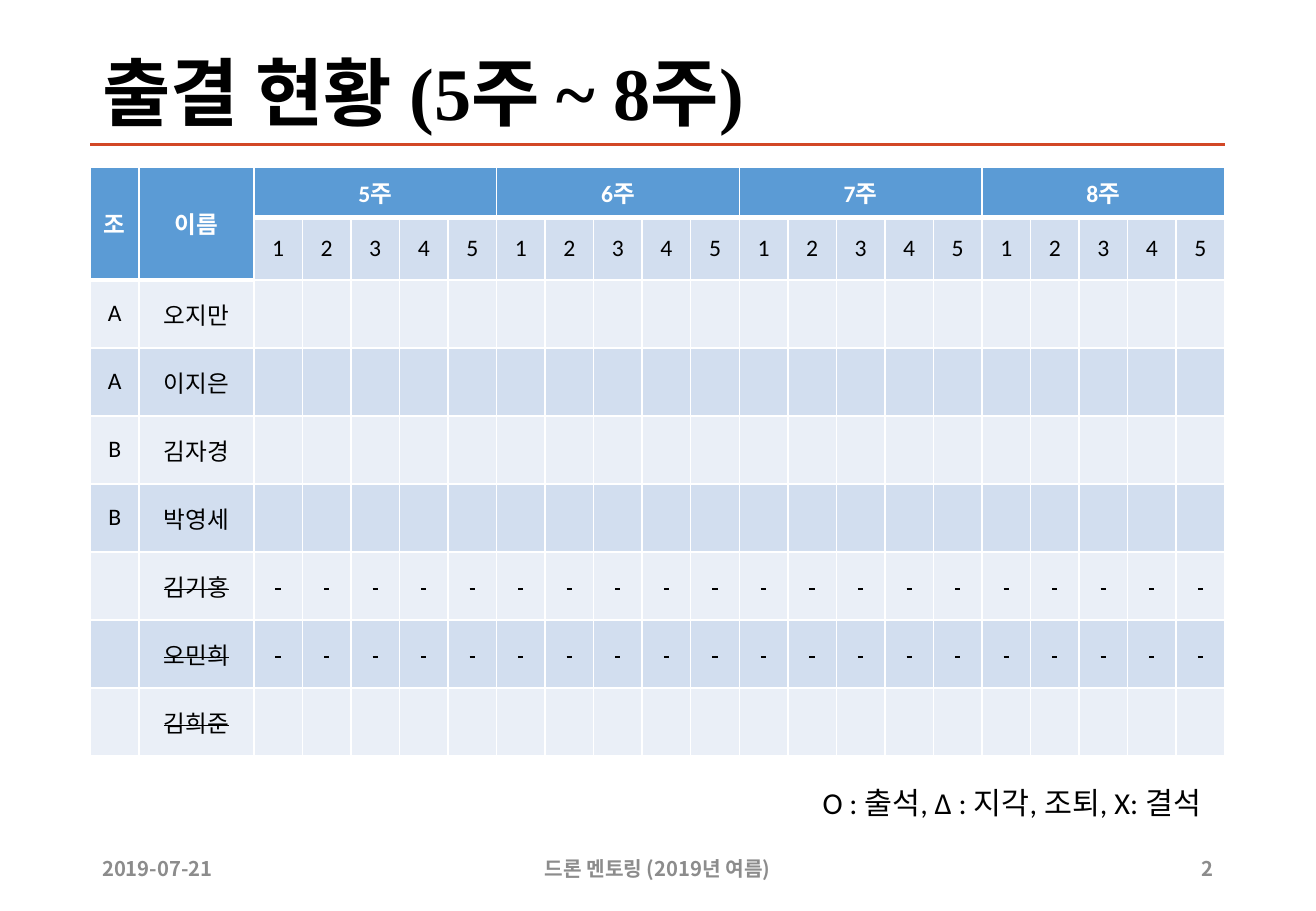
import pptx
import pptx.util
import pptx.dml.color
import pptx.enum.shapes
import pptx.enum.text
import pptx.oxml.ns
import lxml.etree

Pt = pptx.util.Pt
ALIGN = pptx.enum.text.PP_ALIGN
ANCHOR = pptx.enum.text.MSO_ANCHOR
COLORS = {
    "text": "000000", "muted": "8C8C8C", "white": "FFFFFF", "rule": "D24726",
    "head": "5B9BD5", "band": "D2DEEF", "light": "EAEFF7",
}
KOREAN = "Noto Sans CJK KR"
TITLE = {"size": Pt(44), "name": "Times New Roman", "bold": True}
HEAD = {"size": Pt(14), "name": "Calibri", "bold": True}
BODY = {"size": Pt(14), "name": "Calibri", "bold": False}
LEGEND = {"size": Pt(18), "name": "Calibri"}
FOOTER = {"size": Pt(12), "name": KOREAN, "bold": True}
WEEKS = ["5주", "6주", "7주", "8주"]
DAYS = 5
MEMBERS = [
    ("A", "오지만", False), ("A", "이지은", False), ("B", "김자경", False),
    ("B", "박영세", False), ("", "김기홍", True), ("", "오민희", True),
    ("", "김희준", True),
]
STRUCK_DAYS = ("김기홍", "오민희")


def rgb(key):
    return pptx.dml.color.RGBColor.from_string(COLORS[key])


def sub(parent, tag, **attrs):
    return lxml.etree.SubElement(parent, pptx.oxml.ns.qn(tag), attrs)


def write(p, text, fmt, color, align=ALIGN.LEFT, strike=False):
    p.alignment = align
    r = p.add_run()
    r.text = text
    for name, value in fmt.items():
        setattr(r.font, name, value)
    r.font.color.rgb = rgb(color)
    rpr = r.font._element
    sub(rpr, "a:ea", typeface=KOREAN)
    if strike:
        rpr.set("strike", "sngStrike")


def text_box(slide, box, text, fmt, color, align=ALIGN.LEFT, anchor=ANCHOR.MIDDLE):
    sp = slide.shapes.add_textbox(*map(Pt, box))
    tf = sp.text_frame
    tf.word_wrap = True
    tf.vertical_anchor = anchor
    write(tf.paragraphs[0], text, fmt, color, align)
    return tf


def add_title(slide, box):
    x, y, w, h = box
    line = slide.shapes.add_connector(
        pptx.enum.shapes.MSO_CONNECTOR.STRAIGHT, Pt(x), Pt(y + h), Pt(x + w), Pt(y + h))
    line.line.color.rgb = rgb("rule")
    line.line.width = Pt(2)
    sub(line._element.spPr, "a:effectLst")
    tf = text_box(slide, box, "출결 현황 (5주 ~ 8주)", TITLE, "text")
    tf.paragraphs[0].line_spacing = 0.9


def style_cell(cell, fill, top, bottom):
    cell.vertical_anchor = ANCHOR.MIDDLE
    for side in ("left", "right", "top", "bottom"):
        setattr(cell, "margin_" + side, 0)
    tcpr = cell._tc.get_or_add_tcPr()
    for tag, width in (("a:lnL", 1), ("a:lnR", 1), ("a:lnT", top), ("a:lnB", bottom)):
        ln = sub(tcpr, tag, w=str(Pt(width)))
        sub(sub(ln, "a:solidFill"), "a:srgbClr", val=COLORS["white"])
    cell.fill.solid()
    cell.fill.fore_color.rgb = rgb(fill)


def add_attendance(slide, box):
    x, y, w, h = box
    days = len(WEEKS) * DAYS
    lead, heads = [29, 68], [30, 37]
    widths = lead + [(w - sum(lead)) / days] * days
    heights = heads + [(h - sum(heads)) / len(MEMBERS)] * len(MEMBERS)
    tbl = slide.shapes.add_table(len(heights), len(widths), *map(Pt, box)).table
    for col, width in zip(tbl.columns, widths):
        col.width = Pt(width)
    for row, height in zip(tbl.rows, heights):
        row.height = Pt(height)

    for i in range(len(heights)):
        for j in range(len(widths)):
            head_end = 1 if j < len(lead) else 0
            fill = "head" if i <= head_end else ("band" if i % 2 else "light")
            style_cell(tbl.cell(i, j), fill,
                       3 if i == head_end + 1 else 1, 3 if i == head_end else 1)

    def put(i, j, text, fmt=BODY, color="text", strike=False):
        write(tbl.cell(i, j).text_frame.paragraphs[0], text, fmt, color,
              ALIGN.CENTER, strike)

    for j, label in enumerate(("조", "이름")):
        tbl.cell(0, j).merge(tbl.cell(1, j))
        put(0, j, label, HEAD, "white")
    for k, week in enumerate(WEEKS):
        j = len(lead) + k * DAYS
        tbl.cell(0, j).merge(tbl.cell(0, j + DAYS - 1))
        put(0, j, week, HEAD, "white")
        for day in range(DAYS):
            put(1, j + day, str(day + 1))
    for i, (group, name, left) in enumerate(MEMBERS, len(heads)):
        if group:
            put(i, 0, group)
        put(i, 1, name, strike=left)
        if name in STRUCK_DAYS:
            for j in range(len(lead), len(widths)):
                put(i, j, " ", strike=True)


def add_legend(slide, box):
    text_box(slide, box, "O : 출석, Δ : 지각, 조퇴, X: 결석", LEGEND, "text",
             ALIGN.CENTER, ANCHOR.TOP)


def add_footer(slide, box):
    x, y, w, h = box
    date_w, name_w, num_w = 91.5, 263.5, 38
    parts = [
        (x, date_w, "2019-07-21", ALIGN.LEFT),
        (x + (w - name_w) / 2, name_w, "드론 멘토링 (2019년 여름)", ALIGN.CENTER),
        (x + w - num_w, num_w, "2", ALIGN.RIGHT),
    ]
    for left, width, text, align in parts:
        text_box(slide, (left, y, width, h), text, FOOTER, "muted", align)


prs = pptx.Presentation()
prs.slide_width, prs.slide_height = Pt(780), Pt(540)
slide = prs.slides.add_slide(prs.slide_layouts[6])
LEFT, WIDTH = 53.5, 672.5
add_title(slide, (LEFT, 28.8, WIDTH, 56.9))
add_attendance(slide, (LEFT, 98.9, WIDTH, 349.2))
add_footer(slide, (LEFT, 500.4, WIDTH, 28.8))
add_legend(slide, (473, 461.5, 253.4, 29))
prs.save("out.pptx")
